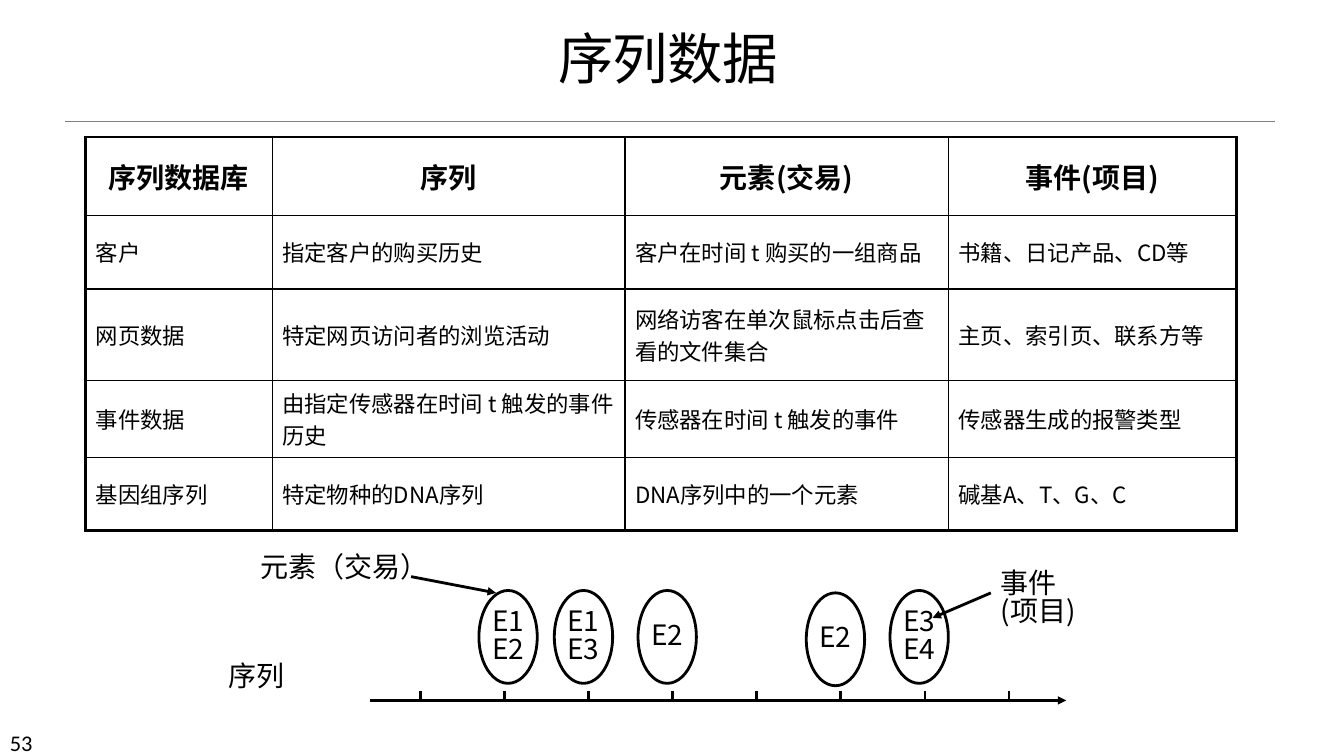
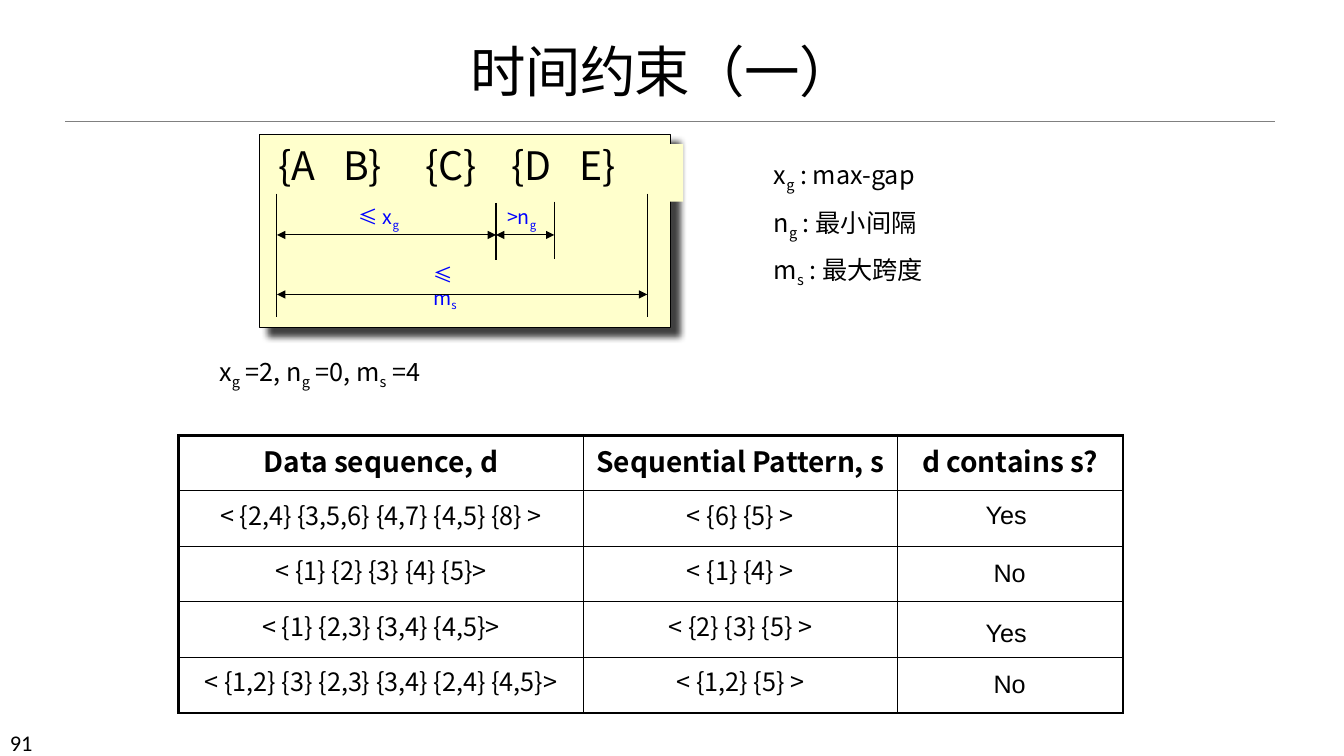
from lxml.etree import SubElement
from pptx import Presentation
from pptx.dml.color import RGBColor
from pptx.enum.shapes import MSO_CONNECTOR, MSO_SHAPE
from pptx.enum.text import MSO_ANCHOR, PP_ALIGN
from pptx.oxml import parse_xml
from pptx.oxml.ns import nsdecls, qn
from pptx.util import Cm, Pt

BLACK = RGBColor(0x00, 0x00, 0x00)
GRAY = RGBColor(0x80, 0x80, 0x80)
BLUE = RGBColor(0x00, 0x00, 0xFF)
CREAM = RGBColor(0xFF, 0xFF, 0xCC)
NOTO = "Noto Sans CJK SC"
TIGHT = 0.85


class Deck:
    def __init__(self):
        self.presentation = Presentation()
        self.presentation.slide_width = Cm(33.87)
        self.presentation.slide_height = Cm(19.05)
        self.slide = None

    def start(self, title, number, left, top, height):
        layout = self.presentation.slide_layouts[5]
        self.slide = self.presentation.slides.add_slide(layout)
        heading = self.slide.shapes.title
        heading.left, heading.top = Cm(left), Cm(top)
        heading.width, heading.height = Cm(30.66), Cm(height)
        frame = heading.text_frame
        frame.word_wrap = True
        frame.vertical_anchor = MSO_ANCHOR.BOTTOM
        self.set_text(frame, [title], 39.6, align=PP_ALIGN.CENTER)
        frame.paragraphs[0].font._rPr.set("spc", "-50")
        self.line(1.65, 3.05, 32.13, 3.05, 0.5, color=GRAY)
        self.text([number], 0, 18.24, 2.97, 0.76, 16, font="Calibri", spacing=1)

    def set_text(self, frame, lines, size, color=BLACK, font=NOTO, bold=False,
                 align=PP_ALIGN.LEFT, spacing=TIGHT, after=0, tabs=()):
        for index, line in enumerate(lines):
            paragraph = frame.add_paragraph() if index else frame.paragraphs[0]
            head, *pieces = line.split("_")
            paragraph.text = head
            for piece in pieces:
                subscript = paragraph.add_run()
                subscript.text = piece[0]
                subscript._r.get_or_add_rPr().set("baseline", "-25000")
                if piece[1:]:
                    paragraph.add_run().text = piece[1:]
            paragraph.alignment = align
            paragraph.line_spacing = spacing
            paragraph.space_before = Pt(0)
            paragraph.space_after = Pt(after)
            if tabs:
                stops = SubElement(paragraph._p.get_or_add_pPr(), qn("a:tabLst"))
                for stop in tabs:
                    SubElement(stops, qn("a:tab"), pos=str(int(Cm(stop))), algn="l")
            style = paragraph.font
            style.size = Pt(size)
            style.bold = bold
            style.color.rgb = color
            style.name = font
            SubElement(style._rPr, qn("a:ea"), typeface=font)

    def text(self, lines, left, top, width, height, size, fill=None, **style):
        box = self.slide.shapes.add_textbox(Cm(left), Cm(top), Cm(width), Cm(height))
        box.text_frame.word_wrap = True
        if fill is not None:
            box.fill.solid()
            box.fill.fore_color.rgb = fill
        self.set_text(box.text_frame, lines, size, **style)

    def line(self, x1, y1, x2, y2, weight, head=False, tail=False, color=BLACK):
        connector = self.slide.shapes.add_connector(
            MSO_CONNECTOR.STRAIGHT, Cm(x1), Cm(y1), Cm(x2), Cm(y2))
        connector.line.color.rgb = color
        connector.line.width = Pt(weight)
        outline = connector.line._get_or_add_ln()
        for shown, tag in ((head, "a:headEnd"), (tail, "a:tailEnd")):
            if shown:
                SubElement(outline, qn(tag), type="triangle")
        SubElement(connector._element.spPr, qn("a:effectLst"))

    def shape(self, preset, left, top, width, height, weight):
        figure = self.slide.shapes.add_shape(
            preset, Cm(left), Cm(top), Cm(width), Cm(height))
        figure.shadow.inherit = False
        figure.fill.background()
        figure.line.color.rgb = BLACK
        figure.line.width = Pt(weight)
        return figure

    def element(self, events, left, top=14.88):
        oval = self.shape(MSO_SHAPE.OVAL, left, top, 1.47, 2.34, 2)
        frame = oval.text_frame
        frame.word_wrap = False
        frame.vertical_anchor = MSO_ANCHOR.MIDDLE
        self.set_text(frame, [events], 20, align=PP_ALIGN.CENTER)

    def panel(self, left, top, width, height):
        card = self.shape(MSO_SHAPE.RECTANGLE, left, top, width, height, 0.75)
        card.fill.solid()
        card.fill.fore_color.rgb = CREAM
        effects = card._element.spPr.find(qn("a:effectLst"))
        shadow = SubElement(effects, qn("a:outerShdw"), blurRad=str(int(Pt(5))),
                            dist=str(int(Pt(8.5))), dir="2700000",
                            algn="tl", rotWithShape="0")
        tint = SubElement(shadow, qn("a:srgbClr"), val=str(BLACK))
        SubElement(tint, qn("a:alpha"), val="75000")

    def table(self, rows, left, top, widths, heights, size, align, anchor):
        grid = self.slide.shapes.add_table(
            len(rows), len(widths), Cm(left), Cm(top),
            Cm(sum(widths)), Cm(sum(heights))).table
        grid.first_row = grid.horz_banding = False
        for column, width in zip(grid.columns, widths):
            column.width = Cm(width)
        last_row, last_column = len(rows) - 1, len(widths) - 1
        for r, (values, height) in enumerate(zip(rows, heights)):
            grid.rows[r].height = Cm(height)
            for c, value in enumerate(values):
                cell = grid.cell(r, c)
                cell.fill.background()
                cell.vertical_anchor = anchor
                if value:
                    self.set_text(cell.text_frame, [value], size if r else 20,
                                  bold=r == 0, spacing=1, after=4,
                                  align=align if r else PP_ALIGN.CENTER)
                outer = {"L": c == 0, "R": c == last_column,
                         "T": r == 0, "B": r == last_row}
                self.border(cell, outer)

    def border(self, cell, outer):
        properties = cell._tc.get_or_add_tcPr()
        for index, (side, thick) in enumerate(outer.items()):
            weight = int(Pt(2.25 if thick else 1))
            properties.insert(index, parse_xml(
                f'<a:ln{side} {nsdecls("a")} w="{weight}"><a:solidFill>'
                f'<a:srgbClr val="{BLACK}"/></a:solidFill></a:ln{side}>'))


def sequence_data(deck):
    deck.start("序列数据", "53", 1.5, 0.94, 1.47)
    databases = [
        ["序列数据库", "序列", "元素(交易)", "事件(项目)"],
        ["客户", "指定客户的购买历史", "客户在时间 t 购买的一组商品",
         "书籍、日记产品、CD等"],
        ["网页数据", "特定网页访问者的浏览活动",
         "网络访客在单次鼠标点击后查看的文件集合", "主页、索引页、联系方等"],
        ["事件数据", "由指定传感器在时间 t 触发的事件历史",
         "传感器在时间 t 触发的事件", "传感器生成的报警类型"],
        ["基因组序列", "特定物种的DNA序列", "DNA序列中的一个元素", "碱基A、T、G、C"],
    ]
    deck.table(databases, 2.16, 3.45, [4.7, 8.89, 8.15, 7.26],
               [1.98, 1.85, 2.31, 1.93, 1.85], 16, PP_ALIGN.LEFT, MSO_ANCHOR.MIDDLE)

    axis = 17.65
    deck.line(9.32, axis, 26.87, axis, 2, tail=True)
    deck.text(["序列"], 5.51, 16.59, 4.24, 1.09, 20)
    for step in range(8):
        tick = 10.59 + 2.12 * step
        deck.line(tick, axis - 0.23, tick, axis, 2)
    for events, left in (("E1\nE2", 12.07), ("E1\nE3", 13.97),
                         ("E2", 16.08), ("E3\nE4", 22.43)):
        deck.element(events, left)
    deck.element("E2", 20.32, 14.94)

    deck.line(10.36, 14.53, 12.5, 14.94, 2, tail=True)
    deck.text(["元素（交易）"], 6.15, 13.84, 5.08, 1.12, 20, align=PP_ALIGN.CENTER)
    deck.line(24.97, 14.94, 23.5, 15.57, 2, tail=True)
    deck.text(["事件\n(项目)"], 24.97, 14.25, 3.2, 1.96, 20)


def time_constraints(deck):
    deck.start("时间约束（一）", "91", 1.37, 0.97, 1.78)
    deck.panel(6.55, 3.38, 10.36, 4.88)
    deck.text(["{A\tB}\t{C}\t{D\tE}"], 6.76, 3.63, 10.46, 1.45, 28,
              fill=CREAM, tabs=(1.64, 3.71, 5.87, 7.6))
    for constraint, left, top, width in (("≤ m_s", 10.67, 6.6, 1.65),
                                         ("≤ x_g", 8.79, 5.08, 1.8),
                                         (">n_g", 12.53, 5.08, 1.5)):
        deck.text([constraint], left, top, width, 0.86, 14, fill=CREAM, color=BLUE)
    start, gap_end, next_start, end = 6.98, 12.5, 13.97, 16.31
    for x1, x2, y in ((start, end, 7.42), (start, gap_end, 5.92),
                      (gap_end, next_start, 5.92)):
        deck.line(x1, y, x2, y, 0.75, head=True, tail=True)
    for x, y1, y2 in ((start, 4.88, 8), (gap_end, 5.11, 6.55),
                      (next_start, 5.08, 6.53), (end, 4.88, 8)):
        deck.line(x, y1, x, y2, 0.75)

    deck.text(["x_g : max-gap", "n_g : 最小间隔", "m_s : 最大跨度"],
              19.25, 3.94, 8.69, 3.45, 18, after=13)
    deck.text(["x_g =2, n_g =0, m_s =4"], 5.28, 8.89, 21.79, 1.02, 18)

    patterns = [
        ["Data sequence, d", "Sequential Pattern, s", "d contains s?"],
        ["< {2,4} {3,5,6} {4,7} {4,5} {8} >", "< {6} {5} >", ""],
        ["< {1} {2} {3} {4} {5}>", "< {1} {4} >", ""],
        ["< {1} {2,3} {3,4} {4,5}>", "< {2} {3} {5} >", ""],
        ["< {1,2} {3} {2,3} {3,4} {2,4} {4,5}>", "< {1,2} {5} >", ""],
    ]
    deck.table(patterns, 4.5, 10.97, [10.21, 7.9, 5.69], [1.4] * 5, 18,
               PP_ALIGN.CENTER, MSO_ANCHOR.TOP)
    for answer, left, top in (("Yes", 24.59, 12.45), ("No", 24.79, 13.92),
                              ("Yes", 24.59, 15.42), ("No", 24.79, 16.71)):
        deck.text([answer], left, top, 2.11, 1.02, 18, font="Arial", spacing=1)


def main():
    deck = Deck()
    sequence_data(deck)
    time_constraints(deck)
    deck.presentation.save("out.pptx")


if __name__ == "__main__":
    main()
